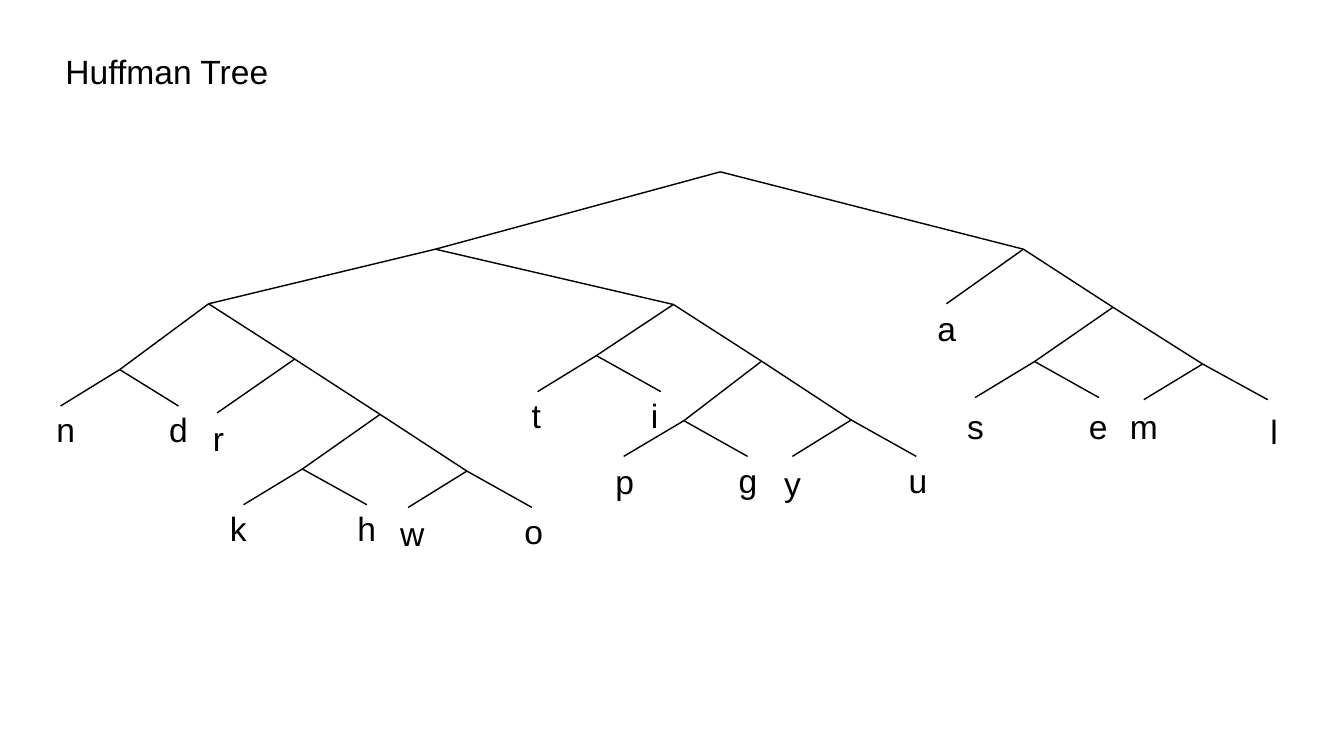
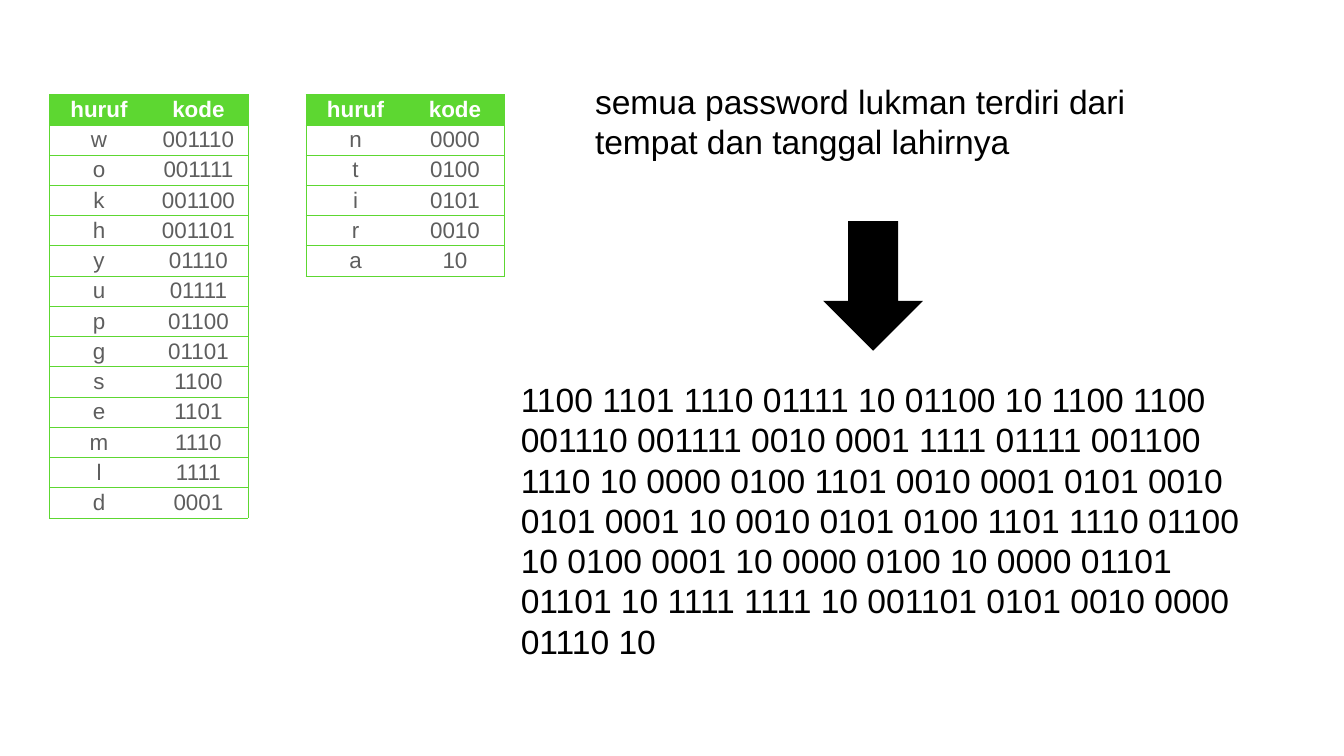
from lxml.etree import SubElement
from pptx import Presentation
from pptx.dml.color import RGBColor
from pptx.enum.shapes import MSO_CONNECTOR as Connector, MSO_SHAPE as Shape
from pptx.enum.text import MSO_ANCHOR as Anchor, MSO_AUTO_SIZE as AutoSize, PP_ALIGN as Align
from pptx.oxml.ns import qn
from pptx.util import Pt

SLIDE_WIDTH, SLIDE_HEIGHT = 1920, 1080
TITLE_ONLY, BLANK = 5, 6
FONT = "Arial"
TEXT_SIZE, TABLE_SIZE = 48, 32
BLACK, WHITE, GREEN, GREY = "000000", "FFFFFF", "5DD731", "5E5E5E"

TITLE = "Huffman Tree"
SENTENCE = "semua password lukman terdiri dari tempat dan tanggal lahirnya"

# Inner nodes of the tree: code prefix -> position
FORKS = {
    "": (1029, 245.5),
    "0": (622, 356), "1": (1462, 356),
    "00": (298, 434), "01": (962, 435), "11": (1590, 439),
    "000": (171, 528), "001": (421, 513), "010": (852, 508),
    "011": (1088, 516), "110": (1478, 516.5), "111": (1718, 520),
    "0011": (543, 592), "0110": (977, 601), "0111": (1216, 600),
    "00110": (432, 670), "00111": (667, 673),
}

# Letter, code, tip of its branch, then left, top and width of its label
LEAVES = [
    ("w", "001110", (583, 725), (567.5, 728.5, 43)),
    ("o", "001111", (760, 725), (745, 725, 35)),
    ("k", "001100", (348, 721), (324.5, 721.5, 32)),
    ("h", "001101", (524, 721), (506.5, 721.5, 35)),
    ("y", "01110", (1132, 652), (1116, 656.5, 32)),
    ("u", "01111", (1309, 652), (1294, 652.5, 35)),
    ("p", "01100", (891, 652), (875, 654.5, 35)),
    ("g", "01101", (1068, 652), (1051, 653, 35)),
    ("s", "1100", (1393, 568), (1377.5, 576, 32)),
    ("e", "1101", (1570, 568), (1551.5, 576, 35)),
    ("m", "1110", (1634, 571), (1610, 575.5, 48)),
    ("l", "1111", (1811, 571), (1811, 583, 19)),
    ("d", "0001", (255, 580), (237.5, 579.5, 35)),
    ("n", "0000", (86.5, 580), (76.5, 579.5, 35)),
    ("t", "0100", (768, 559.5), (755.5, 559.5, 21)),
    ("i", "0101", (944, 559.5), (926, 559.5, 19)),
    ("r", "0010", (310, 590), (300, 592, 48)),
    ("a", "10", (1352, 434), (1335, 435.5, 48)),
]
CODES = {letter: code for letter, code, _, _ in LEAVES}
HEADER = ("huruf", "kode")
FIRST_TABLE_LETTERS = 13

LABEL_HEIGHT = 66.4
TEXT_INSET = 4
TABLE_TOP, TABLE_LEFTS = 135, (70.5, 437)
COLUMN_WIDTH, ROW_HEIGHT, CELL_INSET = 142, 43.2, 3


def color(hex_string):
    return RGBColor.from_string(hex_string)


def points(*lengths):
    return [Pt(length) for length in lengths]


def format_text(text_frame, size, text_color, align=Align.LEFT, bold=False):
    for paragraph in text_frame.paragraphs:
        paragraph.alignment = align
        for run in paragraph.runs:
            font = run.font
            font.name, font.size, font.bold = FONT, Pt(size), bold
            font.color.rgb = color(text_color)


def fill_text_box(shape, text, wrap):
    frame = shape.text_frame
    frame.text = text
    frame.word_wrap = wrap
    frame.auto_size = AutoSize.SHAPE_TO_FIT_TEXT
    frame.vertical_anchor = Anchor.MIDDLE
    frame.margin_left = frame.margin_right = Pt(TEXT_INSET)
    frame.margin_top = frame.margin_bottom = Pt(TEXT_INSET)
    format_text(frame, TEXT_SIZE, BLACK)


def add_text(slide, text, left, top, width, height, wrap=True):
    box = slide.shapes.add_textbox(*points(left, top, width, height))
    fill_text_box(box, text, wrap)


def add_branch(slide, start, end):
    branch = slide.shapes.add_connector(Connector.STRAIGHT, *points(*start, *end))
    branch.line.color.rgb = color(BLACK)
    branch.line.width = Pt(2)
    SubElement(branch._element.spPr, qn("a:effectLst"))


def set_borders(cell, green_sides):
    """Draw the given sides (of L, R, T, B) in green and hide the others."""
    properties = cell._tc.get_or_add_tcPr()
    for side in "LRTB":
        border = SubElement(properties, qn(f"a:ln{side}"), w=str(Pt(0.75)))
        if side in green_sides:
            fill = SubElement(border, qn("a:solidFill"))
            SubElement(fill, qn("a:srgbClr"), val=GREEN)
        else:
            SubElement(border, qn("a:noFill"))


def add_code_table(slide, left, letters):
    rows = [HEADER] + [(letter, CODES[letter]) for letter in letters]
    frame = slide.shapes.add_table(len(rows), 2, *points(
        left, TABLE_TOP, 2 * COLUMN_WIDTH, len(rows) * ROW_HEIGHT))
    table = frame.table
    table.horz_banding = False
    for column in table.columns:
        column.width = Pt(COLUMN_WIDTH)
    for row_index, row in enumerate(rows):
        is_header = row_index == 0
        table.rows[row_index].height = Pt(ROW_HEIGHT)
        for column_index, text in enumerate(row):
            cell = table.cell(row_index, column_index)
            cell.text = text
            cell.vertical_anchor = Anchor.MIDDLE
            cell.margin_top = cell.margin_bottom = Pt(CELL_INSET)
            set_borders(cell, "TB" + "LR"[column_index])
            cell.fill.solid()
            cell.fill.fore_color.rgb = color(GREEN if is_header else WHITE)
            format_text(cell.text_frame, TABLE_SIZE, WHITE if is_header else GREY,
                        Align.CENTER, is_header)


def add_tree_slide(presentation):
    slide = presentation.slides.add_slide(presentation.slide_layouts[TITLE_ONLY])
    title = slide.shapes.title
    title.left, title.top, title.width, title.height = points(89.5, 69, 304.5, LABEL_HEIGHT)
    fill_text_box(title, TITLE, wrap=False)

    nodes = FORKS | {code: tip for _, code, tip, _ in LEAVES}
    for code, position in nodes.items():
        if code:
            add_branch(slide, nodes[code[:-1]], position)
    for letter, _, _, (left, top, width) in LEAVES:
        add_text(slide, letter, left, top, width, LABEL_HEIGHT, wrap=False)


def add_encoding_slide(presentation):
    slide = presentation.slides.add_slide(presentation.slide_layouts[BLANK])
    letters = list(CODES)
    groups = letters[:FIRST_TABLE_LETTERS], letters[FIRST_TABLE_LETTERS:]
    for left, group in zip(TABLE_LEFTS, groups):
        add_code_table(slide, left, group)

    add_text(slide, SENTENCE, 846, 111, 904, 124.5)
    arrow = slide.shapes.add_shape(Shape.DOWN_ARROW, *points(1176, 316, 142.5, 185))
    arrow.shadow.inherit = False
    arrow.fill.solid()
    arrow.fill.fore_color.rgb = color(BLACK)
    arrow.line.fill.background()
    encoded = " ".join(CODES[letter] for letter in SENTENCE if letter in CODES)
    add_text(slide, encoded, 740, 535, 1043.5, 415.5)


def main():
    presentation = Presentation()
    presentation.slide_width, presentation.slide_height = points(SLIDE_WIDTH, SLIDE_HEIGHT)
    add_tree_slide(presentation)
    add_encoding_slide(presentation)
    presentation.save("out.pptx")


if __name__ == "__main__":
    main()
